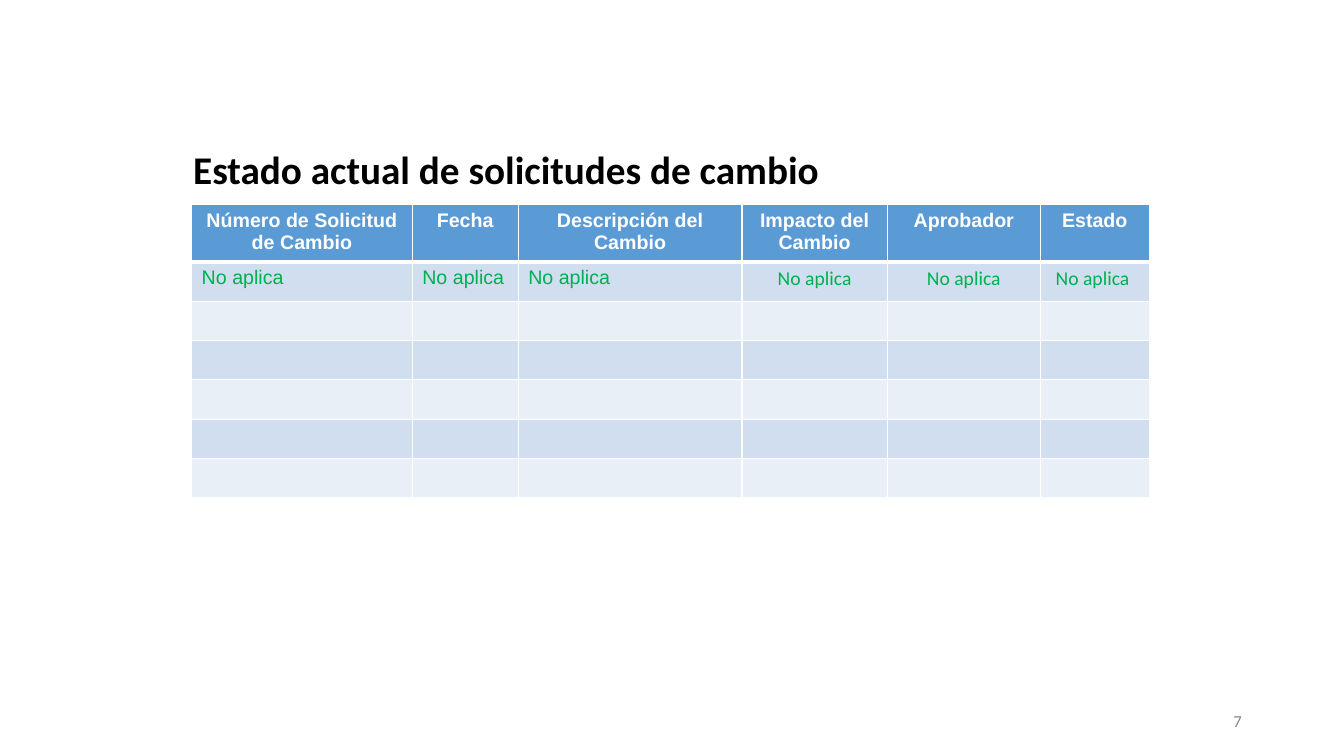
from lxml import etree
from pptx import Presentation
from pptx import util as u
from pptx.dml.color import RGBColor
from pptx.enum import text
from pptx.oxml.ns import qn

COLORS = {"white": "FFFFFF", "black": "000000", "gray": "888888", "green": "00B050",
          "header": "5B9BD5", "odd": "D0DEEF", "even": "E9EFF7"}
LEFT, CENTER, RIGHT = text.PP_ALIGN.LEFT, text.PP_ALIGN.CENTER, text.PP_ALIGN.RIGHT

LABELS = [
    ("Estado actual de solicitudes de cambio", (4.62, 3.76, 21.59, 0.99), LEFT,
     {"name": "Calibri", "size": u.Pt(28), "bold": True}, "black"),
    ("7", (23.93, 17.65, 7.62, 1.02), RIGHT,
     {"name": "Calibri", "size": u.Pt(12), "bold": False}, "gray"),
]
COLUMNS = [
    ("Número de Solicitud de Cambio", 5.56, "No aplica", "Arial", LEFT),
    ("Fecha", 2.67, "No aplica", "Arial", LEFT),
    ("Descripción del Cambio", 5.64, "No aplica", "Arial", LEFT),
    ("Impacto del Cambio", 3.66, "No aplica", "Calibri", CENTER),
    ("Aprobador", 3.86, "No aplica", "Calibri", CENTER),
    ("Estado", 2.74, "No aplica ", "Calibri", CENTER),
]
TABLE_LEFT, TABLE_TOP, ROW_HEIGHT, ROW_COUNT = 4.83, 5.16, 0.99, 7


def rgb(name):
    return RGBColor.from_string(COLORS[name])


def write(para, words, align, font, color):
    para.alignment = align
    span = para.add_run()
    span.text = words
    for key, value in font.items():
        setattr(span.font, key, value)
    span.font.color.rgb = rgb(color)


def add_borders(cell, row):
    properties = cell._tc.get_or_add_tcPr()
    widths = {"lnL": 1, "lnR": 1, "lnT": 3 if row == 1 else 1, "lnB": 3 if row == 0 else 1}
    for side, width in widths.items():
        line = etree.SubElement(properties, qn(f"a:{side}"), w=str(u.Pt(width)))
        fill = etree.SubElement(line, qn("a:solidFill"))
        etree.SubElement(fill, qn("a:srgbClr"), val=COLORS["white"])


def add_label(page, words, place, align, font, color):
    box = page.shapes.add_textbox(*map(u.Cm, place))
    box.text_frame.word_wrap = True
    box.text_frame.vertical_anchor = text.MSO_ANCHOR.MIDDLE
    write(box.text_frame.paragraphs[0], words, align, font, color)


def add_requests(page):
    total = sum(column[1] for column in COLUMNS)
    place = (TABLE_LEFT, TABLE_TOP, total, ROW_HEIGHT * ROW_COUNT)
    table = page.shapes.add_table(ROW_COUNT, len(COLUMNS), *map(u.Cm, place)).table
    for row in table.rows:
        row.height = u.Cm(ROW_HEIGHT)
    for index, (heading, width, entry, face, align) in enumerate(COLUMNS):
        table.columns[index].width = u.Cm(width)
        for row in range(ROW_COUNT):
            cell = table.cell(row, index)
            add_borders(cell, row)
            cell.fill.solid()
            cell.fill.fore_color.rgb = rgb("header" if row == 0 else "odd" if row % 2 else "even")
            para = cell.text_frame.paragraphs[0]
            if row == 0:
                write(para, heading, CENTER,
                      {"name": "Arial", "size": u.Pt(14), "bold": True}, "white")
            elif row == 1:
                write(para, entry, align,
                      {"name": face, "size": u.Pt(14), "bold": False}, "green")
            else:
                etree.SubElement(para._p, qn("a:endParaRPr"), sz="1400")


def main():
    deck = Presentation()
    deck.slide_width, deck.slide_height = u.Cm(33.87), u.Cm(19.05)
    page = deck.slides.add_slide(deck.slide_layouts[6])
    for label in LABELS:
        add_label(page, *label)
    add_requests(page)
    deck.save("out.pptx")


if __name__ == "__main__":
    main()
